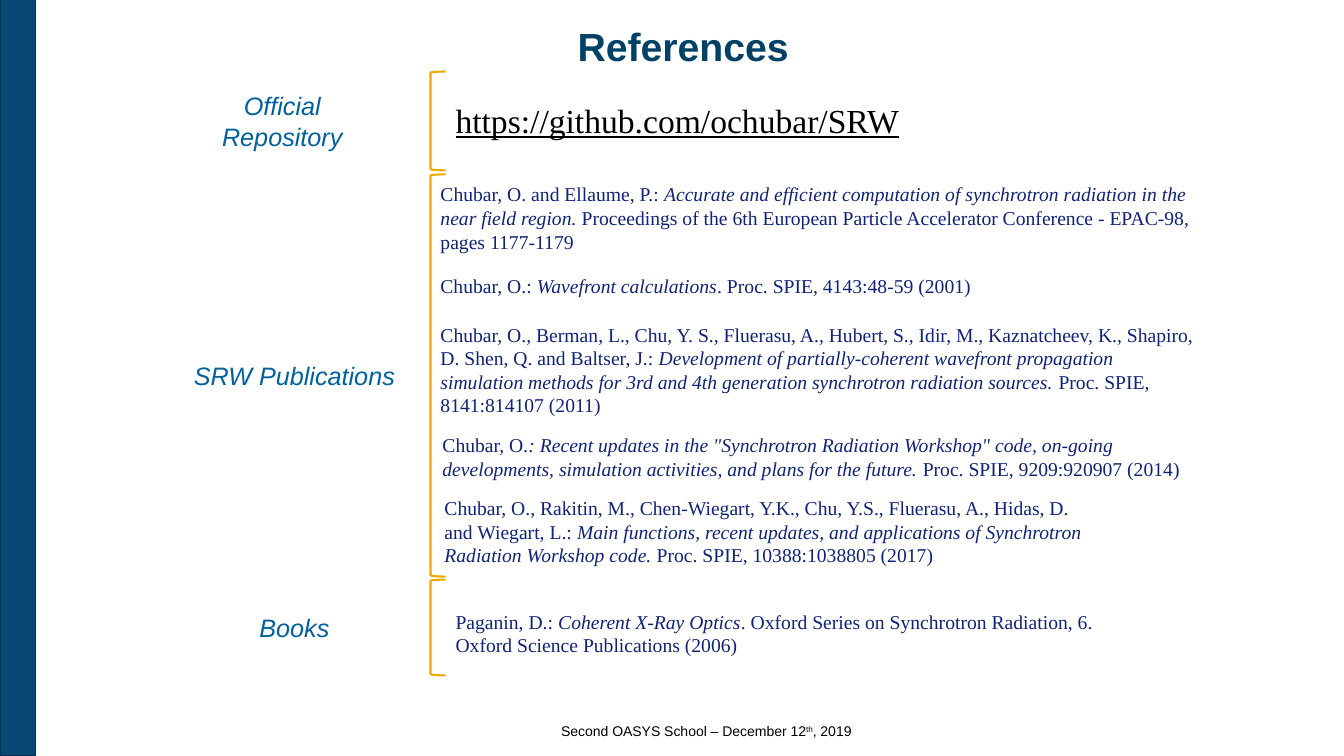
from pptx import Presentation
from pptx.dml.color import RGBColor
from pptx.enum.shapes import MSO_SHAPE
from pptx.enum.text import MSO_ANCHOR, PP_ALIGN
from pptx.util import Inches, Pt

SLIDE_WIDTH, SLIDE_HEIGHT = 13.33, 7.5
BAR_BLUE = RGBColor(0x09, 0x48, 0x75)
BAR_EDGE = RGBColor(0x00, 0x30, 0x4E)
TITLE_BLUE = RGBColor(0x00, 0x41, 0x65)
LABEL_BLUE = RGBColor(0x00, 0x60, 0x9C)
CITATION_BLUE = RGBColor(0x11, 0x23, 0x75)
GOLD = RGBColor(0xEC, 0xAA, 0x00)
BLACK = RGBColor(0x00, 0x00, 0x00)
SANS, SERIF = "Arial", "Times New Roman"

BRACKET_LEFT, BRACKET_WIDTH = 4.27, 0.15
LABEL_WIDTH = 2.2

# Sections: top, height, label, label offset from the bracket, entries.
# Entries: offset from the bracket's top left, width, height, (authors, title, source).
SECTIONS = [
    (0.71, 0.98, "Official Repository", -2.57, []),
    (1.73, 3.99, "SRW Publications", -2.45, [
        (0, 0.03, 7.68, 0.81, (
            "Chubar, O. and Ellaume, P.: ",
            "Accurate and efficient computation of synchrotron radiation in the near field region.",
            " Proceedings of the 6th European Particle Accelerator Conference - EPAC-98, "
            "pages 1177-1179")),
        (0, 0.94, 7.1, 0.34, (
            "Chubar, O.: ", "Wavefront calculations", ". Proc. SPIE, 4143:48-59 (2001)")),
        (0, 1.42, 7.68, 1.04, (
            "Chubar, O., Berman, L., Chu, Y. S., Fluerasu, A., Hubert, S., Idir, M., "
            "Kaznatcheev, K., Shapiro, D. Shen, Q. and Baltser, J.: ",
            "Development of partially-coherent wavefront propagation simulation methods "
            "for 3rd and 4th generation synchrotron radiation sources. ",
            "Proc. SPIE, 8141:814107 (2011)")),
        (0.02, 2.52, 7.66, 0.57, (
            "Chubar, O",
            ".: Recent updates in the \"Synchrotron Radiation Workshop\" code, on-going "
            "developments, simulation activities, and plans for the future. ",
            "Proc. SPIE, 9209:920907 (2014)")),
        (0.04, 3.14, 6.67, 0.81, (
            "Chubar, O., Rakitin, M., Chen-Wiegart, Y.K., Chu, Y.S., Fluerasu, A., "
            "Hidas, D. and Wiegart, L.: ",
            "Main functions, recent updates, and applications of Synchrotron Radiation "
            "Workshop code. ",
            "Proc. SPIE, 10388:1038805 (2017)")),
    ]),
    (5.75, 0.95, "Books", -2.45, [
        (0.15, 0.25, 7.1, 0.57, (
            "Paganin, D.: ", "Coherent X-Ray Optics",
            ". Oxford Series on Synchrotron Radiation, 6. Oxford Science Publications (2006)")),
    ]),
]


def add_text_box(slide, box, alignment=PP_ALIGN.LEFT, anchor=MSO_ANCHOR.TOP):
    """Add a wrapping text box and return its first paragraph."""
    frame = slide.shapes.add_textbox(*map(Inches, box)).text_frame
    frame.word_wrap = True
    frame.vertical_anchor = anchor
    paragraph = frame.paragraphs[0]
    paragraph.alignment = alignment
    return paragraph


def add_run(paragraph, text, size, name, color, bold=False, italic=False, underline=False):
    run = paragraph.add_run()
    run.text = text
    font = run.font
    font.size, font.name = Pt(size), name
    font.bold, font.italic, font.underline = bold, italic, underline
    font.color.rgb = color
    return run


def add_side_bar(slide, box):
    bar = slide.shapes.add_shape(MSO_SHAPE.RECTANGLE, *map(Inches, box))
    bar.shadow.inherit = False
    bar.fill.solid()
    bar.fill.fore_color.rgb = BAR_BLUE
    bar.line.color.rgb = BAR_EDGE
    bar.line.width = Pt(0.75)


def add_title(slide, box):
    paragraph = add_text_box(slide, box, PP_ALIGN.CENTER, MSO_ANCHOR.MIDDLE)
    add_run(paragraph, "References", 28, SANS, TITLE_BLUE, bold=True)


def add_section(slide, box, label, label_offset, entries):
    """Draw a bracket with its label on the left and citations on the right."""
    left, top, width, height = box
    bracket = slide.shapes.add_shape(MSO_SHAPE.LEFT_BRACKET, *map(Inches, box))
    bracket.shadow.inherit = False
    bracket.fill.background()
    bracket.line.color.rgb = GOLD
    bracket.line.width = Pt(1.5)

    # Label, centred on the bracket's height
    label_box = (left + label_offset, top, LABEL_WIDTH, height)
    paragraph = add_text_box(slide, label_box, PP_ALIGN.CENTER, MSO_ANCHOR.MIDDLE)
    add_run(paragraph, label, 18, SANS, LABEL_BLUE, italic=True)

    # Citations, with the title in italics
    for x, y, entry_width, entry_height, parts in entries:
        paragraph = add_text_box(slide, (left + x, top + y, entry_width, entry_height))
        for text, italic in zip(parts, (False, True, False)):
            add_run(paragraph, text, 14, SERIF, CITATION_BLUE, italic=italic)


def add_repository_address(slide, box):
    paragraph = add_text_box(slide, box)
    add_run(paragraph, "https://github.com/ochubar/SRW", 24, SERIF, BLACK, underline=True)


def add_footer(slide, box):
    paragraph = add_text_box(slide, box, PP_ALIGN.CENTER, MSO_ANCHOR.MIDDLE)
    add_run(paragraph, "Second OASYS School – December 12", 10, SANS, BLACK)
    ordinal = add_run(paragraph, "th", 10, SANS, BLACK)
    ordinal.font._element.set("baseline", "30000")
    add_run(paragraph, ", 2019", 10, SANS, BLACK)


def main():
    presentation = Presentation()
    presentation.slide_width = Inches(SLIDE_WIDTH)
    presentation.slide_height = Inches(SLIDE_HEIGHT)
    slide = presentation.slides.add_slide(presentation.slide_layouts[6])

    add_side_bar(slide, (0, 0, 0.35, SLIDE_HEIGHT))
    add_title(slide, (0.67, 0.18, 12.21, 0.55))
    for top, height, label, label_offset, entries in SECTIONS:
        box = (BRACKET_LEFT, top, BRACKET_WIDTH, height)
        add_section(slide, box, label, label_offset, entries)
    add_repository_address(slide, (BRACKET_LEFT + BRACKET_WIDTH, 0.94, 6.67, 0.5))
    add_footer(slide, (2.85, 7.12, 8.31, 0.26))

    presentation.save("out.pptx")


if __name__ == "__main__":
    main()
